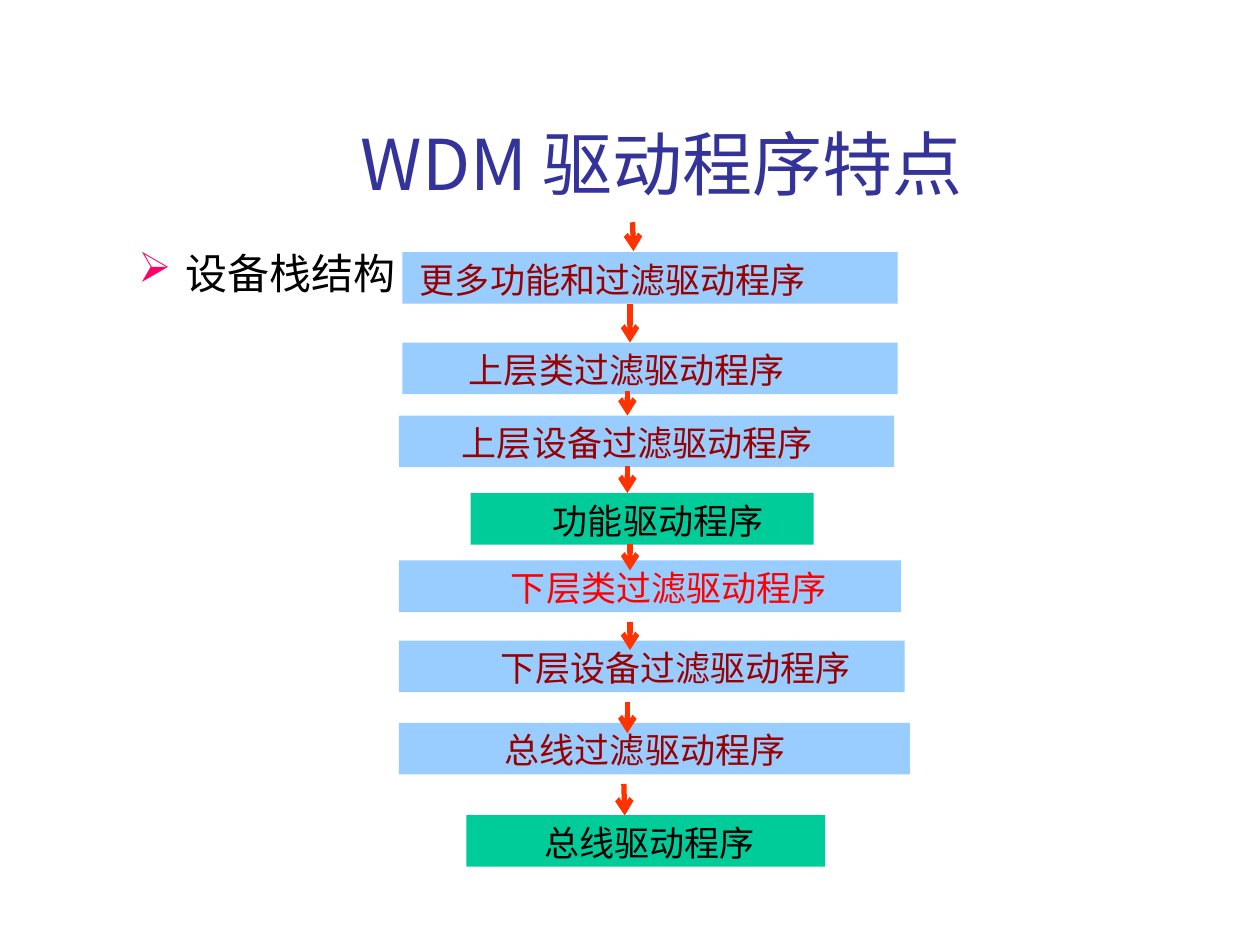
from lxml import etree
from pptx import Presentation
from pptx.dml.color import RGBColor
from pptx.enum.shapes import MSO_CONNECTOR, MSO_SHAPE
from pptx.enum.text import MSO_ANCHOR, PP_ALIGN
from pptx.oxml.ns import qn
from pptx.util import Pt

COLORS = {"title": "333399", "text": "000000", "bullet": "FF0066",
          "filter": "99CCFF", "driver": "00CC99", "arrow": "FF3300",
          "dark_red": "990000", "red": "FF0000"}
CJK = "Noto Sans CJK SC"
LATIN = "Times New Roman"

# Text, left, top, width, text indent, fill, text colour
LAYERS = [
    ("更多功能和过滤驱动程序", 230, 144, 283, 10, "filter", "dark_red"),
    ("上层类过滤驱动程序", 230, 195.75, 283, 38, "filter", "dark_red"),
    ("上层设备过滤驱动程序", 228, 237.5, 283, 36, "filter", "dark_red"),
    ("功能驱动程序", 269, 281.75, 196, 47, "driver", "text"),
    ("下层类过滤驱动程序", 228, 320.25, 287, 64, "filter", "red"),
    ("下层设备过滤驱动程序", 228, 366, 289, 58, "filter", "dark_red"),
    ("总线过滤驱动程序", 228, 413, 292, 60.5, "filter", "dark_red"),
    ("总线驱动程序", 266.5, 465.75, 205, 44.5, "driver", "text"),
]
LAYER_H = 29.5

# Start x, end x, top, bottom
ARROWS = [
    (361.5, 362, 127, 143.5), (360, 360, 174, 195.75),
    (358.5, 358.5, 223.5, 237.5), (358.5, 358.5, 266.5, 281.75),
    (360, 360, 311, 326), (360, 360, 355.5, 371.5),
    (358.5, 358.5, 401, 419), (356.5, 357, 448, 466),
]


def rgb(name):
    return RGBColor.from_string(COLORS[name])


def write(tf, text, size, color, font=CJK, align=PP_ALIGN.LEFT, **frame):
    values = {"word_wrap": True, "vertical_anchor": MSO_ANCHOR.TOP,
              "margin_left": Pt(7.2), "margin_right": Pt(7.2),
              "margin_top": Pt(3.6), "margin_bottom": Pt(3.6), **frame}
    for key, value in values.items():
        setattr(tf, key, value)
    p = tf.paragraphs[0]
    p.alignment = align
    r = p.add_run()
    r.text = text
    for key, value in {"size": Pt(size), "name": font}.items():
        setattr(r.font, key, value)
    r.font.color.rgb = rgb(color)
    etree.SubElement(r.font._element, qn("a:ea")).set("typeface", CJK)
    return p


def add_title(slide, x, y, w, h):
    sp = slide.shapes.add_textbox(Pt(x), Pt(y), Pt(w), Pt(h))
    write(sp.text_frame, "WDM 驱动程序特点", 40, "title",
          align=PP_ALIGN.CENTER, vertical_anchor=MSO_ANCHOR.MIDDLE)


def add_topic(slide, x, y, w, h):
    sp = slide.shapes.add_textbox(Pt(x), Pt(y), Pt(w), Pt(h))
    p = write(sp.text_frame, "设备栈结构", 24, "text")
    pPr = p._p.get_or_add_pPr()
    pPr.set("marL", str(Pt(27)))
    pPr.set("indent", str(-Pt(27)))
    clr = etree.SubElement(pPr, qn("a:buClr"))
    etree.SubElement(clr, qn("a:srgbClr")).set("val", COLORS["bullet"])
    etree.SubElement(pPr, qn("a:buChar")).set("char", "➢")


def add_layer(slide, x, y, w, h, text, indent, fill, color):
    sp = slide.shapes.add_shape(MSO_SHAPE.RECTANGLE, Pt(x), Pt(y), Pt(w), Pt(h))
    sp.shadow.inherit = False
    sp.fill.solid()
    sp.fill.fore_color.rgb = rgb(fill)
    sp.line.fill.background()
    write(sp.text_frame, text, 20, color, LATIN, margin_left=Pt(indent))


def add_arrow(slide, x1, x2, top, bottom):
    cx = slide.shapes.add_connector(MSO_CONNECTOR.STRAIGHT,
                                    Pt(x1), Pt(top), Pt(x2), Pt(bottom))
    cx.line.width = Pt(3)
    cx.line.color.rgb = rgb("arrow")
    etree.SubElement(cx.line._get_or_add_ln(), qn("a:tailEnd")).set("type", "arrow")
    etree.SubElement(cx._element.spPr, qn("a:effectLst"))


def add_stack(slide):
    for text, x, y, w, indent, fill, color in LAYERS:
        add_layer(slide, x, y, w, LAYER_H, text, indent, fill, color)
    for arrow in ARROWS:
        add_arrow(slide, *arrow)


def main():
    prs = Presentation()
    prs.slide_width, prs.slide_height = Pt(720), Pt(540)
    slide = prs.slides.add_slide(prs.slide_layouts[6])
    add_title(slide, 72, 48, 612, 90)
    add_topic(slide, 72, 138, 594, 342)
    add_stack(slide)
    prs.save("out.pptx")


if __name__ == "__main__":
    main()
